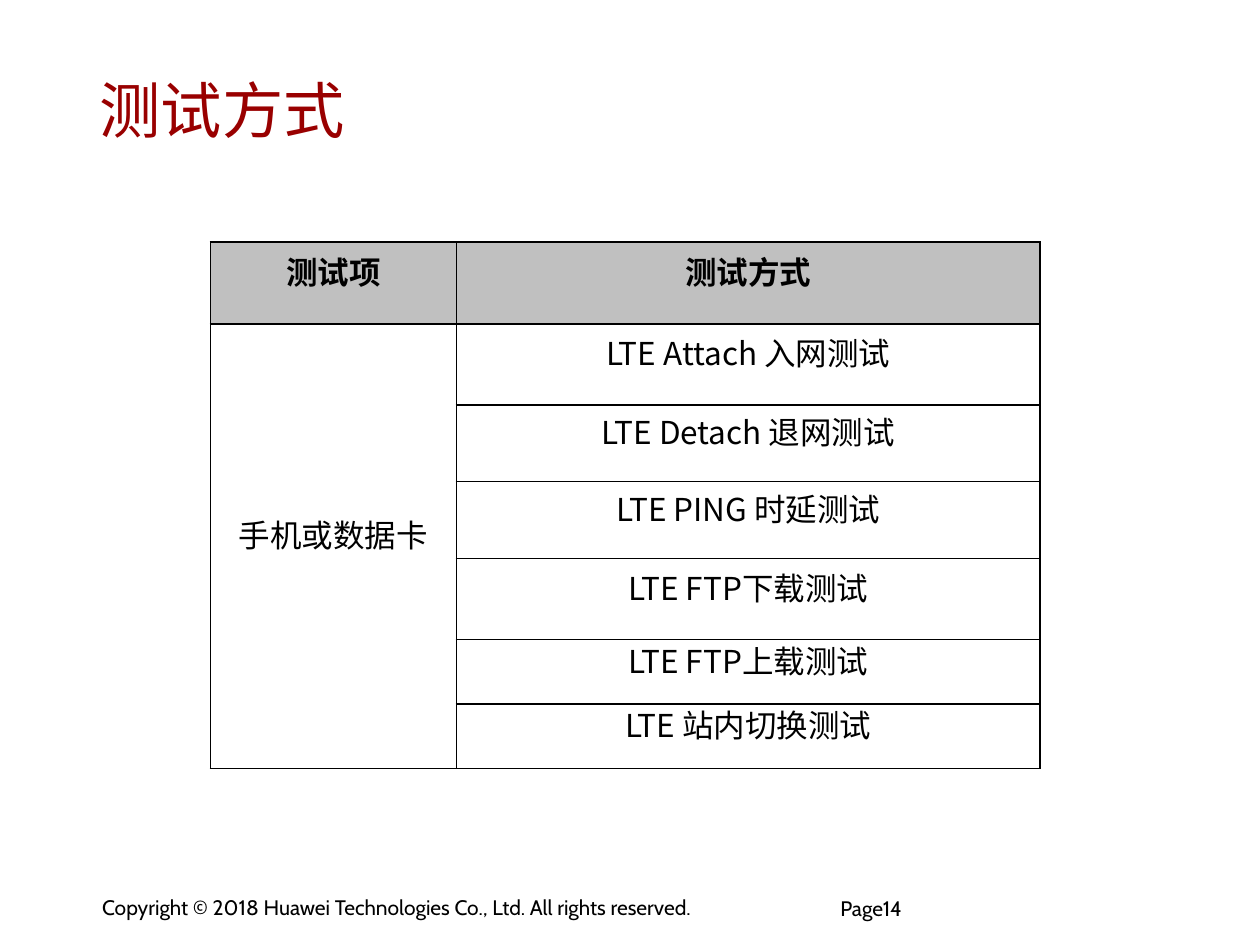
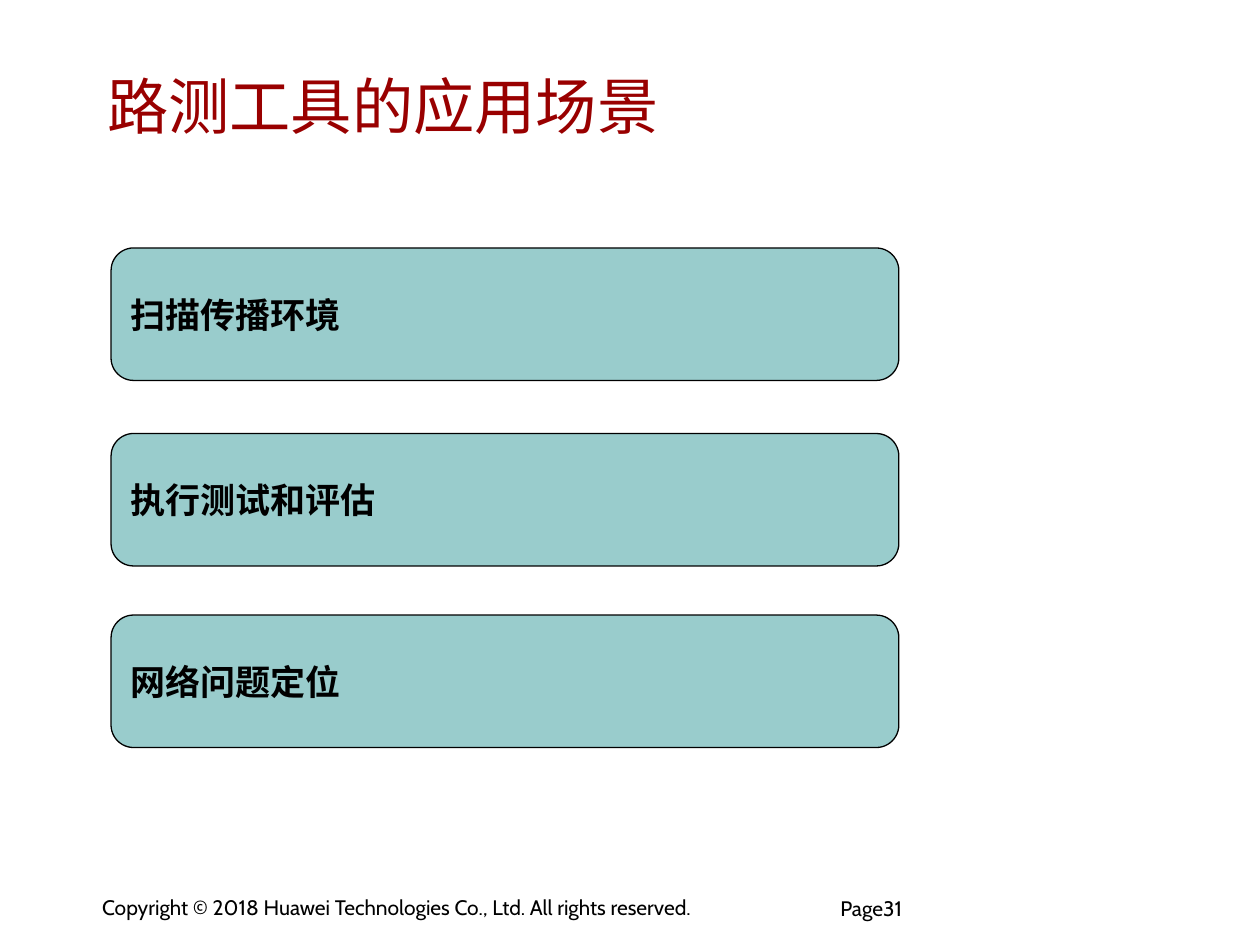
from dataclasses import dataclass
from typing import Any, Optional

from lxml import etree
from pptx import Presentation
from pptx import util as u
from pptx.dml.color import RGBColor
from pptx.enum import shapes, text
from pptx.oxml import ns


@dataclass(frozen=True)
class Theme:
    title_color: str = "990000"
    ink: str = "000000"
    paper: str = "FFFFFF"
    header_fill: str = "C0C0C0"
    scenario_fill: str = "99CCCC"
    title_size: int = 35
    scenario_size: int = 20
    table_size: int = 18
    footer_size: int = 12
    main_font: str = "Cabin"
    header_font: str = "Times New Roman"
    cjk_font: str = "Noto Sans CJK SC"
    scenario_font: str = "Arial"


@dataclass(frozen=True)
class Box:
    """A place on the slide, in centimetres."""
    left: float
    top: float
    width: float
    height: float

    def lengths(self) -> list[u.Length]:
        return [u.Cm(n) for n in (self.left, self.top, self.width, self.height)]


@dataclass(frozen=True)
class TextStyle:
    font: str
    size: int
    color: str
    bold: bool = False
    align: text.PP_ALIGN = text.PP_ALIGN.LEFT
    line_spacing: Any = None


THEME = Theme()
TITLE = TextStyle(THEME.main_font, THEME.title_size, THEME.title_color)
FOOTER = TextStyle(THEME.main_font, THEME.footer_size, THEME.ink)
PAGE_NUMBER = TextStyle(THEME.main_font, THEME.footer_size, THEME.ink, line_spacing=0.85)
SCENARIO = TextStyle(THEME.scenario_font, THEME.scenario_size, THEME.ink, bold=True)
HEADER_CELL = TextStyle(THEME.header_font, THEME.table_size, THEME.ink, True,
                        text.PP_ALIGN.CENTER, u.Pt(12))
BODY_CELL = TextStyle(THEME.cjk_font, THEME.table_size, THEME.ink, False,
                      text.PP_ALIGN.CENTER, u.Pt(12))

COPYRIGHT = "Copyright © 2018 Huawei Technologies Co., Ltd. All rights reserved."
COPYRIGHT_BOX = Box(1.83, 17.93, 13.94, 0.74)
PAGE_BOX = Box(16.94, 18.14, 4.22, 0.91)
SIDE_INSET, TOP_INSET = 0.23, 0.1

TEST_HEADERS = ("测试项", "测试方式")
TEST_DEVICE = "手机或数据卡"
TEST_METHODS = (
    "LTE Attach 入网测试",
    "LTE Detach 退网测试",
    "LTE PING 时延测试",
    "LTE FTP下载测试",
    "LTE FTP上载测试",
    "LTE 站内切换测试",
)
TEST_COLUMNS = (4.96, 11.77)
TEST_ROWS = (1.65, 1.63, 1.55, 1.55, 1.63, 1.3, 1.3)

SCENARIOS = {"扫描传播环境": 5.0, "执行测试和评估": 8.74, "网络问题定位": 12.4}


def apply(target: Any, values: dict[str, Any]) -> None:
    for name, value in values.items():
        setattr(target, name, value)


def write(frame: Any, words: str, style: TextStyle) -> None:
    paragraph = frame.paragraphs[0]
    apply(paragraph, {"alignment": style.align, "line_spacing": style.line_spacing})
    run = paragraph.add_run()
    run.text = words
    apply(run.font, {"name": style.font, "size": u.Pt(style.size), "bold": style.bold})
    run.font.color.rgb = RGBColor.from_string(style.color)
    east_asian = etree.SubElement(run._r.get_or_add_rPr(), ns.qn("a:ea"))
    east_asian.set("typeface", THEME.cjk_font)


def set_frame(frame: Any, side: float, top: float, anchor: text.MSO_ANCHOR) -> None:
    apply(frame, {
        "word_wrap": True, "auto_size": text.MSO_AUTO_SIZE.NONE, "vertical_anchor": anchor,
        "margin_left": u.Cm(side), "margin_right": u.Cm(side),
        "margin_top": u.Cm(top), "margin_bottom": u.Cm(top),
    })


def add_label(slide: Any, box: Box, words: str, style: TextStyle,
              side: float = 0, top: float = 0) -> None:
    frame = slide.shapes.add_textbox(*box.lengths()).text_frame
    set_frame(frame, side, top, text.MSO_ANCHOR.TOP)
    write(frame, words, style)


def add_titled_slide(deck: Any, heading: str, box: Box, page: int) -> Any:
    slide = deck.slides.add_slide(deck.slide_layouts[5])
    title = slide.shapes.title
    apply(title, dict(zip(("left", "top", "width", "height"), box.lengths())))
    set_frame(title.text_frame, SIDE_INSET, TOP_INSET, text.MSO_ANCHOR.MIDDLE)
    write(title.text_frame, heading, TITLE)
    add_label(slide, COPYRIGHT_BOX, COPYRIGHT, FOOTER, SIDE_INSET, TOP_INSET)
    add_label(slide, PAGE_BOX, f"Page{page}", PAGE_NUMBER)
    return slide


def add_borders(cell: Any) -> None:
    properties = cell._tc.get_or_add_tcPr()
    for side in ("lnL", "lnR", "lnT", "lnB"):
        line = etree.SubElement(properties, ns.qn(f"a:{side}"), w=str(u.Pt(1)))
        fill = etree.SubElement(line, ns.qn("a:solidFill"))
        etree.SubElement(fill, ns.qn("a:srgbClr"), val=THEME.ink)


def format_cell(cell: Any, words: Optional[str], style: TextStyle, fill: str) -> None:
    add_borders(cell)
    cell.fill.solid()
    cell.fill.fore_color.rgb = RGBColor.from_string(fill)
    apply(cell, {
        "vertical_anchor": text.MSO_ANCHOR.MIDDLE,
        "margin_left": u.Cm(0.18), "margin_right": u.Cm(0.18),
        "margin_top": 0, "margin_bottom": 0,
    })
    if words:
        write(cell.text_frame, words, style)


def add_test_table(slide: Any) -> None:
    box = Box(4.24, 4.88, sum(TEST_COLUMNS), sum(TEST_ROWS))
    table = slide.shapes.add_table(len(TEST_ROWS), len(TEST_COLUMNS), *box.lengths()).table
    apply(table, {"first_row": False, "horz_banding": False})
    for column, width in zip(table.columns, TEST_COLUMNS):
        column.width = u.Cm(width)
    for row, height in zip(table.rows, TEST_ROWS):
        row.height = u.Cm(height)

    for index, header in enumerate(TEST_HEADERS):
        format_cell(table.cell(0, index), header, HEADER_CELL, THEME.header_fill)
    for index, method in enumerate(TEST_METHODS, start=1):
        device = TEST_DEVICE if index == 1 else None
        format_cell(table.cell(index, 0), device, BODY_CELL, THEME.paper)
        format_cell(table.cell(index, 1), method, BODY_CELL, THEME.paper)
    table.cell(1, 0).merge(table.cell(len(TEST_METHODS), 0))


def add_scenario(slide: Any, words: str, top: float) -> None:
    box = Box(2.24, top, 15.88, 2.67)
    panel = slide.shapes.add_shape(shapes.MSO_SHAPE.ROUNDED_RECTANGLE, *box.lengths())
    panel.shadow.inherit = False
    panel.adjustments[0] = 0.17
    panel.fill.solid()
    panel.fill.fore_color.rgb = RGBColor.from_string(THEME.scenario_fill)
    panel.line.color.rgb = RGBColor.from_string(THEME.ink)
    panel.line.width = u.Pt(0.75)
    set_frame(panel.text_frame, 0.25, 0.13, text.MSO_ANCHOR.MIDDLE)
    write(panel.text_frame, words, SCENARIO)


def main() -> None:
    deck = Presentation()
    apply(deck, {"slide_width": u.Cm(25.4), "slide_height": u.Cm(19.05)})

    methods = add_titled_slide(deck, "测试方式", Box(1.78, 0.99, 21.46, 2.41), 14)
    add_test_table(methods)

    usage = add_titled_slide(deck, "路测工具的应用场景", Box(1.93, 0.91, 21.46, 2.41), 31)
    for scenario, top in SCENARIOS.items():
        add_scenario(usage, scenario, top)

    deck.save("out.pptx")


if __name__ == "__main__":
    main()
